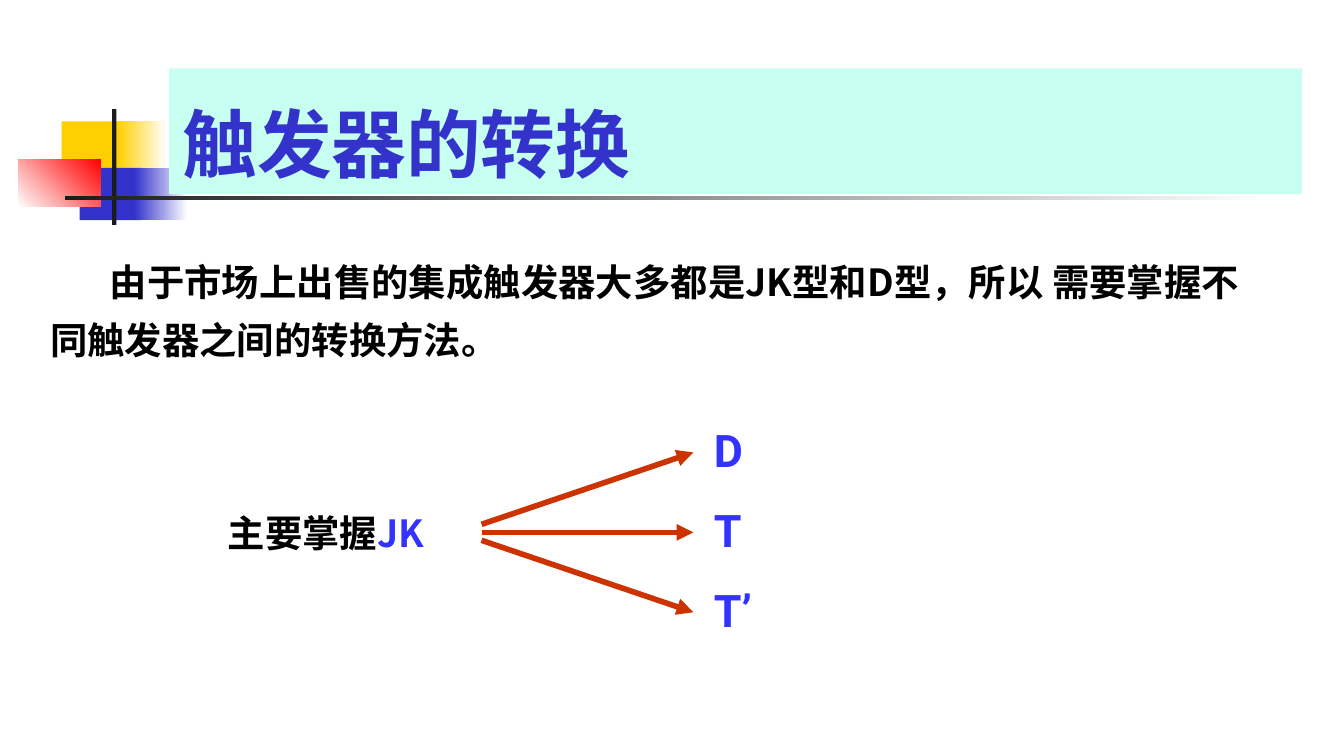
from lxml.etree import SubElement
from pptx import Presentation
from pptx.dml.color import RGBColor
from pptx.enum.shapes import MSO_CONNECTOR, MSO_SHAPE
from pptx.enum.text import MSO_ANCHOR, MSO_AUTO_SIZE, PP_ALIGN
from pptx.oxml.ns import qn
from pptx.util import Pt

COLORS = {
    "yellow": "FFCF01", "indigo": "3333CC", "red": "FF0000",
    "white": "FFFFFF", "charcoal": "1C1C1C", "mint": "C7FFF0",
    "black": "000000", "blue": "3333FF", "rust": "CC3300",
}
LATIN = "Roboto"
CHINESE = "Noto Sans CJK SC"


def color(name):
    return RGBColor.from_string(COLORS[name])


class SlideBuilder:
    def __init__(self, presentation):
        self.slide = presentation.slides.add_slide(presentation.slide_layouts[5])

    def block(self, left, top, width, height, start, end=None, angle=0):
        shape = self.slide.shapes.add_shape(
            MSO_SHAPE.RECTANGLE, Pt(left), Pt(top), Pt(width), Pt(height))
        shape.shadow.inherit = False
        shape.line.fill.background()
        if end is None:
            shape.fill.solid()
            shape.fill.fore_color.rgb = color(start)
            return
        shape.fill.gradient()
        shape.fill.gradient_angle = angle
        for stop, name, position in zip(shape.fill.gradient_stops, (start, end), (0, 1)):
            stop.color.rgb = color(name)
            stop.position = position

    def add_text(self, paragraph, runs, size, typeface):
        paragraph.alignment = PP_ALIGN.LEFT
        for text, name in runs:
            run = paragraph.add_run()
            run.text = text
            run.font.color.rgb = color(name)
            SubElement(run.font._element, qn("a:ea"), typeface=CHINESE)
        for font in (paragraph.font, *(run.font for run in paragraph.runs)):
            font.name = typeface
            font.size = Pt(size)
            font.bold = True

    def title(self, left, top, width, height, text):
        shape = self.slide.shapes.title
        shape.left, shape.top = Pt(left), Pt(top)
        shape.width, shape.height = Pt(width), Pt(height)
        shape.fill.solid()
        shape.fill.fore_color.rgb = color("mint")
        frame = shape.text_frame
        frame.auto_size = MSO_AUTO_SIZE.NONE
        frame.vertical_anchor = MSO_ANCHOR.BOTTOM
        self.add_text(frame.paragraphs[0], [(text, "indigo")], 40, LATIN)
        self.slide.shapes._spTree.append(shape._element)

    def text_box(self, left, top, width, height):
        shape = self.slide.shapes.add_textbox(Pt(left), Pt(top), Pt(width), Pt(height))
        shape.text_frame.word_wrap = True
        return shape.text_frame

    def body(self, left, top, width, height, text, indent):
        paragraph = self.text_box(left, top, width, height).paragraphs[0]
        paragraph.line_spacing = 1.3
        paragraph._p.get_or_add_pPr().set("indent", str(Pt(indent)))
        self.add_text(paragraph, [(text, "black")], 20, CHINESE)

    def label(self, left, middle, width, runs, size, typeface):
        height = 28.8
        frame = self.text_box(left, middle - height / 2, width, height)
        frame.margin_left = frame.margin_right = 0
        frame.margin_top = frame.margin_bottom = 0
        frame.vertical_anchor = MSO_ANCHOR.MIDDLE
        self.add_text(frame.paragraphs[0], runs, size, typeface)

    def arrow(self, start_x, start_y, end_x, end_y):
        connector = self.slide.shapes.add_connector(
            MSO_CONNECTOR.STRAIGHT, Pt(start_x), Pt(start_y), Pt(end_x), Pt(end_y))
        connector.line.color.rgb = color("rust")
        connector.line.width = Pt(3)
        SubElement(connector.line._get_or_add_ln(), qn("a:tailEnd"), type="triangle")
        SubElement(connector._element.spPr, qn("a:effectLst"))


def main():
    presentation = Presentation()
    presentation.slide_width, presentation.slide_height = Pt(720), Pt(405)
    builder = SlideBuilder(presentation)

    builder.block(33, 65, 34.5, 28, "yellow")
    builder.block(63, 65, 26, 28, "yellow", "white")
    builder.block(42.7, 90, 33, 28, "indigo")
    builder.block(72, 90, 28.5, 28, "indigo", "white")
    builder.block(9.8, 85.5, 44.3, 25.3, "white", "red", 45)
    builder.block(60, 58.5, 2.3, 62, "charcoal")
    builder.block(34.7, 105, 648, 2.2, "charcoal", "white")

    builder.title(90.6, 36.6, 607, 67.5, "触发器的转换")
    builder.body(
        19.7, 128, 669, 70,
        "由于市场上出售的集成触发器大多都是JK型和D型，所以 需要掌握不同触发器之间的转换方法。",
        indent=32)

    center, row_gap, start_gap = 285.2, 42.8, 4.3
    builder.label(122, center, 135, [("主要掌握", "black"), ("JK", "blue")], 20, CHINESE)
    for step, target in zip((-1, 0, 1), ("D", "T", "T’")):
        builder.label(382.5, center + row_gap * step - 1.5, 28, [(target, "blue")], 24, LATIN)
        builder.arrow(258, center + start_gap * step, 371.5, center + row_gap * step)

    presentation.save("out.pptx")


if __name__ == "__main__":
    main()
